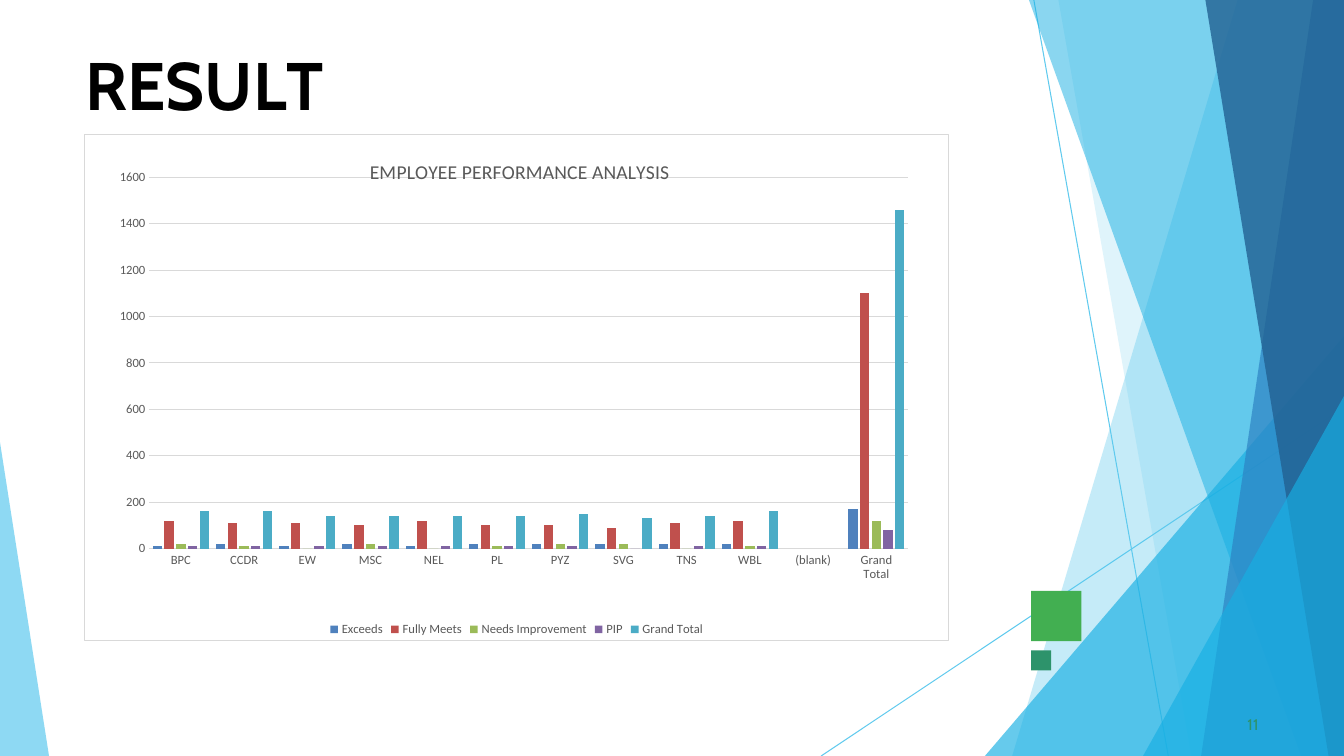
from lxml import etree
from pptx import Presentation
from pptx.chart.data import CategoryChartData
from pptx.dml.color import RGBColor
from pptx.enum.chart import XL_CHART_TYPE, XL_LEGEND_POSITION, XL_TICK_MARK
from pptx.enum.shapes import MSO_CONNECTOR
from pptx.oxml import parse_xml
from pptx.oxml.ns import nsdecls, qn
from pptx.util import Pt

W, H = 960, 540
COLORS = {
    "sky": "5FCAEE", "cyan": "17AFE3", "blue": "2D83C3", "navy": "226192",
    "green": "42AF51", "teal": "2D936B", "black": "000000", "white": "FFFFFF",
    "gray": "595959", "rule": "D9D9D9",
}
FACETS = [
    ("sky", 36, [(W, 0), (884, 0), (723, H), (W, H)]),
    ("sky", 20, [(W, 0), (756, 0), (851, H), (W, H)]),
    ("cyan", 66, [(W, 240), (703.5, H), (W, H)]),
    ("cyan", 50, [(W, 0), (735, 0), (929.5, H), (W, H)]),
    ("blue", 70, [(W, 0), (938, 0), (858, H), (W, H)]),
    ("navy", 80, [(W, 0), (861, 0), (949, H), (W, H)]),
    ("cyan", 66, [(W, 283), (816.5, H), (W, H)]),
    ("sky", 70, [(0, 316), (0, H), (35, H)]),
]
RAYS = [((738.5, 0), (834.5, H)), ((W, 291), (586.5, H))]
SQUARES = [("green", 736.5, 422, 36), ("teal", 736.5, 464.5, 14.4)]
TITLE_RUNS = [("R", 0), ("E", -0.4), ("S", 0.1), ("U", -0.3), ("L", -4), ("TS"[:1], 0)]
CATEGORIES = ["BPC", "CCDR", "EW", "MSC", "NEL", "PL", "PYZ", "SVG", "TNS",
              "WBL", "(blank)", "Grand Total"]
SERIES = [
    ("Exceeds", "4F81BD", [10, 20, 10, 20, 10, 20, 20, 20, 20, 20, None, 170]),
    ("Fully Meets", "C0504D", [120, 110, 110, 100, 120, 100, 100, 90, 110, 120, None, 1100]),
    ("Needs Improvement", "9BBB59", [20, 10, 0, 20, 0, 10, 20, 20, 0, 10, None, 120]),
    ("PIP", "8064A2", [10, 10, 10, 10, 10, 10, 10, 0, 10, 10, None, 80]),
    ("Grand Total", "4BACC6", [160, 160, 140, 140, 140, 140, 150, 130, 140, 160, None, 1460]),
]


def rgb(name):
    return RGBColor.from_string(COLORS[name])


def add_facet(s, color, alpha, points):
    points = [(Pt(x), Pt(y)) for x, y in points]
    builder = s.shapes.build_freeform(*points[0], scale=1.0)
    builder.add_line_segments(points[1:], close=True)
    sp = builder.convert_to_shape()
    sp.shadow.inherit = False
    sp.fill.solid()
    sp.fill.fore_color.rgb = rgb(color)
    sp.line.fill.background()
    clr = sp.fill._xPr.find(qn("a:solidFill"))[0]
    etree.SubElement(clr, qn("a:alpha")).set("val", str(alpha * 1000))


def add_backdrop(s):
    for start, end in RAYS:
        ray = s.shapes.add_connector(MSO_CONNECTOR.STRAIGHT, *map(Pt, start + end))
        ray.line.color.rgb = rgb("sky")
        ray.line.width = Pt(0.75)
        etree.SubElement(ray._element.spPr, qn("a:effectLst"))
    for facet in FACETS:
        add_facet(s, *facet)


def add_squares(s):
    for color, x, y, side in SQUARES:
        sp = s.shapes.add_shape(1, Pt(x), Pt(y), Pt(side), Pt(side))
        sp.shadow.inherit = False
        sp.fill.solid()
        sp.fill.fore_color.rgb = rgb(color)
        sp.line.fill.background()


def add_label(s, box, runs, size, color, bold=False, indent=0, before=0):
    tf = s.shapes.add_textbox(*map(Pt, box)).text_frame
    tf.word_wrap = True
    tf.margin_left = tf.margin_right = tf.margin_bottom = 0
    tf.margin_top = Pt(1)
    p = tf.paragraphs[0]
    p.space_before = Pt(before)
    p._p.get_or_add_pPr().set("marL", str(Pt(indent)))
    for text, spacing in runs:
        r = p.add_run()
        r.text = text
        r.font.name = "Cabin"
        r.font.size = Pt(size)
        r.font.bold = bold
        r.font.color.rgb = rgb(color)
        r._r.get_or_add_rPr().set("spc", str(round(spacing * 100)))


def style_font(font, size, color="gray"):
    font.name = "Calibri"
    font.size = Pt(size)
    font.bold = False
    font.color.rgb = rgb(color)


def style_axes(chart):
    for axis in (chart.category_axis, chart.value_axis):
        axis.major_tick_mark = axis.minor_tick_mark = XL_TICK_MARK.NONE
        style_font(axis.tick_labels.font, 9)
    chart.value_axis.format.line.fill.background()
    chart.value_axis.maximum_scale = 1600
    chart.value_axis.minimum_scale = 0
    chart.value_axis.major_unit = 200
    for line in (chart.category_axis.format.line,
                 chart.value_axis.major_gridlines.format.line):
        line.color.rgb = rgb("rule")
        line.width = Pt(0.75)


def layout_xml(**places):
    parts = "".join(f'<c:{k} val="{v}"/>' for k, v in places.items())
    return parse_xml(f'<c:layout {nsdecls("c")}><c:manualLayout>{parts}'
                     '</c:manualLayout></c:layout>')


def place(parent, index, **places):
    for old in parent.findall(qn("c:layout")):
        parent.remove(old)
    parent.insert(index, layout_xml(**places))


def add_frame(chart):
    frame = parse_xml(
        f'<c:spPr {nsdecls("c", "a")}>'
        f'<a:solidFill><a:srgbClr val="{COLORS["white"]}"/></a:solidFill>'
        f'<a:ln w="{Pt(0.75)}"><a:solidFill><a:srgbClr val="{COLORS["rule"]}"/>'
        '</a:solidFill></a:ln></c:spPr>')
    chart._chartSpace.find(qn("c:chart")).addnext(frame)


def add_performance_chart(s, box):
    data = CategoryChartData()
    data.categories = CATEGORIES
    for name, _, values in SERIES:
        data.add_series(name, values)
    chart = s.shapes.add_chart(XL_CHART_TYPE.COLUMN_CLUSTERED, *map(Pt, box), data).chart
    style_font(chart.font, 10, "black")
    chart.has_title = True
    r = chart.chart_title.text_frame.paragraphs[0].add_run()
    r.text = "EMPLOYEE PERFORMANCE ANALYSIS"
    style_font(r.font, 14)
    place(chart.chart_title._element, 1, xMode="edge", yMode="edge", x=0.326, y=0.04)
    chart.has_legend = True
    chart.legend.position = XL_LEGEND_POSITION.BOTTOM
    chart.legend.include_in_layout = False
    style_font(chart.legend.font, 9)
    style_axes(chart)
    plot = chart.plots[0]
    plot.gap_width, plot.overlap = 75, -25
    plot.vary_by_categories = False
    for series, (_, color, _) in zip(plot.series, SERIES):
        series.format.fill.solid()
        series.format.fill.fore_color.rgb = RGBColor.from_string(color)
    place(chart._chartSpace.find(".//" + qn("c:plotArea")), 0, layoutTarget="inner",
          xMode="edge", yMode="edge", x=0.075, y=0.084, w=0.878, h=0.734)
    add_frame(chart)


def main():
    prs = Presentation()
    prs.slide_width, prs.slide_height = Pt(W), Pt(H)
    s = prs.slides.add_slide(prs.slide_layouts[6])
    add_backdrop(s)
    add_squares(s)
    add_label(s, (60, 30, 192, 60), TITLE_RUNS, 48, "black", True, 1, 1.1)
    add_label(s, (888, 510, 18, 15), [("11", 0.1)], 11, "teal", False, 3, 0.6)
    add_performance_chart(s, (60, 96, 618, 362))
    prs.save("out.pptx")


if __name__ == "__main__":
    main()
